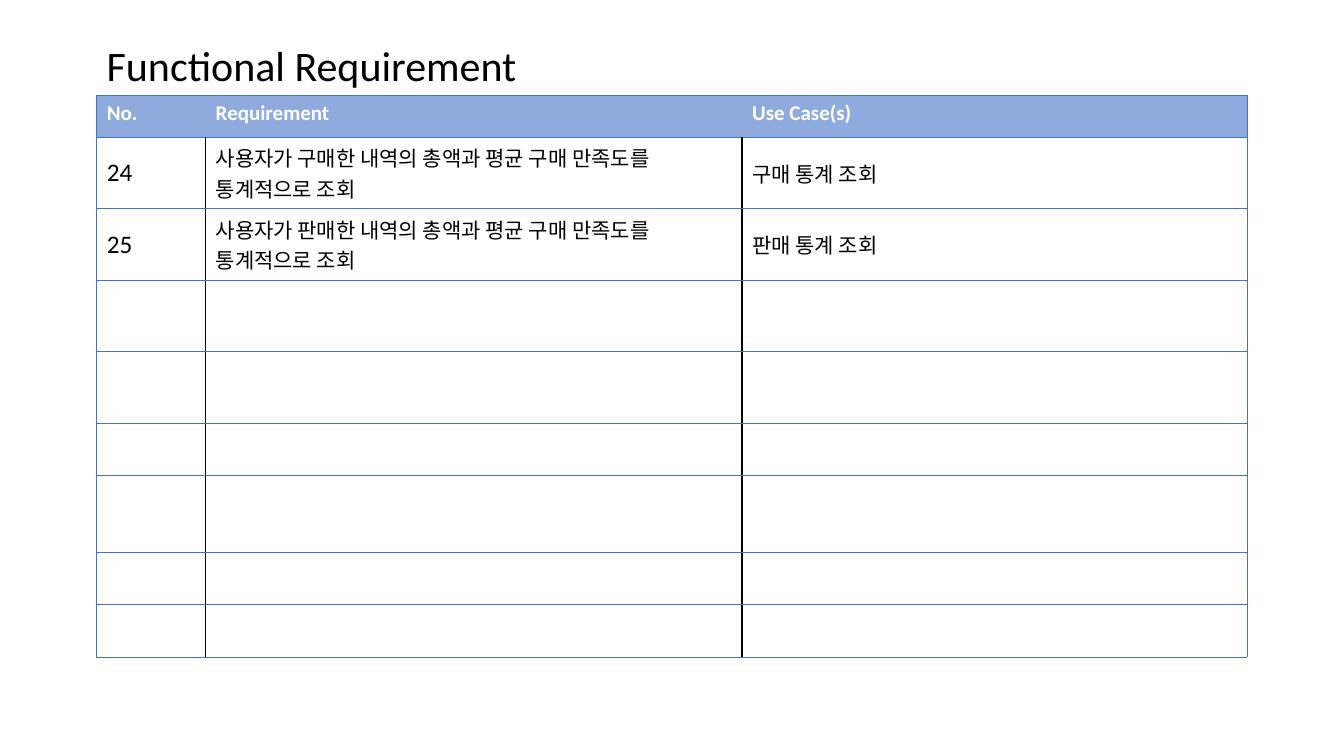
from lxml.etree import SubElement as Sub
from pptx import Presentation
from pptx.dml.color import RGBColor as RGB
from pptx.enum.text import MSO_ANCHOR as Anchor, MSO_AUTO_SIZE as Fit
from pptx.oxml.ns import qn
from pptx.util import Inches, Pt

FONT = "Calibri"
COLORS = {"head": "8FAADC", "blue": "4472C4", "black": "000000", "white": "FFFFFF"}
WIDTHS = [1.08, 5.32, 5.01]
HEIGHTS = [0.41] + [0.71] * 4 + [0.52, 0.76, 0.52, 0.52]
ROWS = [
    ["No.", "Requirement", "Use Case(s)"],
    ["24", "사용자가 구매한 내역의 총액과 평균 구매 만족도를 통계적으로 조회", "구매 통계 조회"],
    ["25", "사용자가 판매한 내역의 총액과 평균 구매 만족도를 통계적으로 조회", "판매 통계 조회"],
]


def color(name):
    return RGB.from_string(COLORS[name])


def style(para, size, tint, bold=False):
    font = para.font
    font.name, font.size, font.bold = FONT, Pt(size), bold
    font.color.rgb = color(tint)


def border(cell, side, tint, width):
    line = Sub(cell._tc.get_or_add_tcPr(), qn(f"a:ln{side}"), w=str(Pt(width)))
    if tint is None:
        Sub(line, qn("a:noFill"))
    else:
        fill = Sub(line, qn("a:solidFill"))
        Sub(fill, qn("a:srgbClr"), val=COLORS[tint])


def add_title(slide, text):
    box = slide.shapes.add_textbox(Inches(0.96), Inches(0.34), Inches(4.47), Inches(0.61))
    frame = box.text_frame
    frame.word_wrap = False
    frame.auto_size = Fit.SHAPE_TO_FIT_TEXT
    frame.text = text
    style(frame.paragraphs[0], 30, "black")


def fill_cell(cell, row, col, text):
    head = row == 0
    # Outer and horizontal rules are blue, inner verticals black below the header
    inner = (None, 1) if head else ("black", 1)
    outer = ("blue", 0.5)
    border(cell, "L", *(outer if col == 0 else inner))
    border(cell, "R", *(outer if col == len(WIDTHS) - 1 else inner))
    border(cell, "T", *outer)
    border(cell, "B", *outer)
    cell.fill.solid()
    cell.fill.fore_color.rgb = color("head" if head else "white")
    cell.vertical_anchor = Anchor.TOP if head else Anchor.MIDDLE
    cell.text = text
    size = 18 if col == 0 and not head else 15
    style(cell.text_frame.paragraphs[0], size, "white" if head else "black", head)


def add_grid(slide):
    frame = slide.shapes.add_table(
        len(HEIGHTS), len(WIDTHS), Inches(0.96), Inches(0.95),
        Inches(sum(WIDTHS)), Inches(sum(HEIGHTS)))
    table = frame.table
    table.horz_banding = False
    for col, width in zip(table.columns, WIDTHS):
        col.width = Inches(width)
    for row, height in enumerate(HEIGHTS):
        table.rows[row].height = Inches(height)
        texts = ROWS[row] if row < len(ROWS) else [""] * len(WIDTHS)
        for col, text in enumerate(texts):
            fill_cell(table.cell(row, col), row, col, text)


def main():
    deck = Presentation()
    deck.slide_width, deck.slide_height = Inches(13.33), Inches(7.5)
    slide = deck.slides.add_slide(deck.slide_layouts[6])
    add_grid(slide)
    add_title(slide, "Functional Requirement")
    deck.save("out.pptx")


if __name__ == "__main__":
    main()
